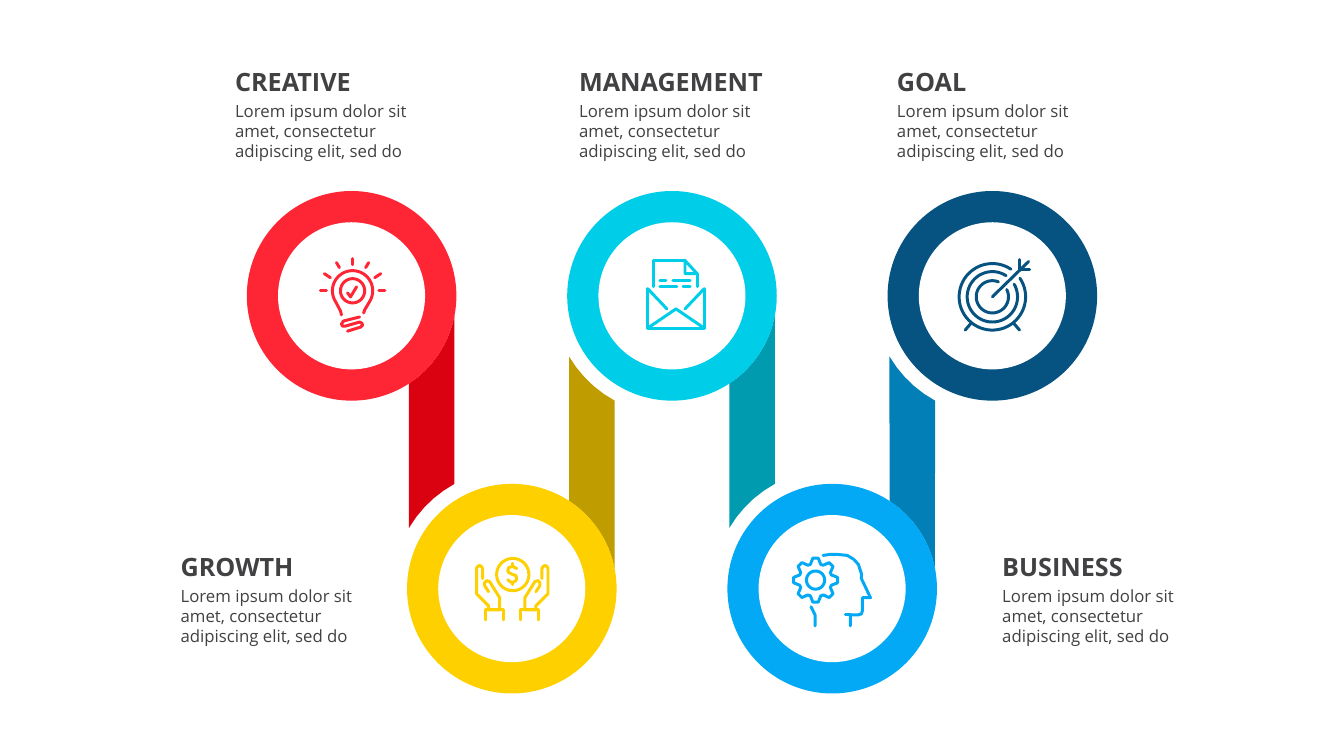
import math
import pptx
import pptx.util
import pptx.dml.color
import pptx.enum.shapes
import pptx.enum.text
import pptx.oxml.ns
import lxml.etree

RGB = pptx.dml.color.RGBColor
WHITE = RGB(0xFF, 0xFF, 0xFF)
INK = RGB(0x41, 0x40, 0x42)
FONT = "Open Sans"
UNIT = 9144
WIDE, HIGH = 1334, 750
BODY = "Lorem ipsum dolor sit amet, consectetur adipiscing elit, sed do"


def arc(x, y, size, start=0, end=360):
    count = max(4, round(abs(end - start) / 6))
    turns = [math.radians(start + (end - start) * k / count) for k in range(count + 1)]
    return [(x + size * math.cos(t), y + size * math.sin(t)) for t in turns]


def mirror(lines, axis):
    return [[(2 * axis - x, y) for x, y in line] for line in lines]


RAYS = [[(-12, -28), (-15, -33)], [(-27, -22), (-21, -18)], [(-31, -5), (-25, -5)]]
BULB = [
    [(-10, 19), (-11, 15)] + arc(1, -5, 20, 147, 393) + [(13, 14), (12, 17)],
    arc(1, -5, 12),
    [(-4, -3), (-1, 1), (5, -9)],
    [(1, -31), (1, -37)],
    [(8, 21), (-8, 25), (-10, 28), (-9, 30), (-6, 30), (8, 26), (10, 27),
     (11, 29), (9, 31), (-4, 35)],
] + RAYS + mirror(RAYS, 1)

HAND = [
    [(-23, 3), (-27, -3), (-27, -6), (-25, -8), (-22, -7), (-12, 9), (-12, 21),
     (-23, 21), (-23, 17), (-35, 5), (-35, -20), (-34, -22), (-32, -23),
     (-30, -22), (-29, -20), (-29, -10)],
    [(-8, 31), (-8, 21), (-26, 21), (-26, 31)],
]
COIN = HAND + mirror(HAND, 0.5) + [
    arc(1, -14, 16),
    [(-4, -9), (-2, -7), (1, -6), (4, -8), (5, -10), (4, -13), (1, -14),
     (-3, -16), (-4, -18), (-3, -21), (1, -22), (5, -20)],
    [(1, -22), (1, -25)],
    [(1, -4), (1, -6)],
]

LETTER = [
    [(32, -7), (32, 32), (-24, 32), (-24, -7)],
    [(32, 32), (4, 13), (-24, 32)],
    [(32, -7), (13, 13)],
    [(-24, -7), (-5, 13)],
    [(25, -9), (25, -22)],
    [(13, -35), (-18, -35), (-18, -9)],
    [(25, -22), (13, -35), (13, -22), (25, -22)],
    [(-6, -15), (-12, -15)],
    [(18, -15), (1, -15)],
    [(-12, -9), (5, -9)],
    [(18, -9), (11, -9)],
]

TOOTH = [(-18, 16.5), (-7, 22), (7, 22), (18, 16.5)]
GEAR = [(-16.5 + size * math.cos(math.radians(45 * k + turn)),
         -8.5 + size * math.sin(math.radians(45 * k + turn)))
        for k in range(8) for turn, size in TOOTH]
HEAD = [
    [(-9, -33), (-2, -34), (5, -34), (15, -33), (21.5, -29), (26, -24), (29, -15),
     (29, -10), (38, 9), (30, 9), (30, 22), (29, 25), (26, 26), (18, 26), (18, 37)],
    [(18, 26), (13, 26)],
    [(-17, 37), (-17, 26), (-21, 18)],
    GEAR + GEAR[:1],
    arc(-16.5, -8.5, 9),
]

TARGET = [
    arc(0, 1, 33, -34, 304),
    arc(0, 1, 25, -30, 303),
    arc(0, 1, 16, -27, 292),
    [(0, 1), (36, -34)],
    [(27, -36), (27, -26), (37, -26)],
    [(-27, 34), (-21, 27)],
    [(21, 27), (27, 34)],
]

STEPS = [
    ("CREATIVE", 223.5, RGB(0xFE, 0x26, 0x35), RGB(0xDA, 0x01, 0x10), BULB),
    ("GROWTH", 169.5, RGB(0xFF, 0xD0, 0x00), RGB(0xBF, 0x9C, 0x00), COIN),
    ("MANAGEMENT", 565, RGB(0x00, 0xCE, 0xE8), RGB(0x00, 0x9B, 0xAE), LETTER),
    ("BUSINESS", 985, RGB(0x03, 0xA9, 0xF4), RGB(0x02, 0x7F, 0xB7), HEAD),
    ("GOAL", 880.5, RGB(0x06, 0x53, 0x81), None, TARGET),
]
LEFT, STRIDE = 349, 159
ROWS = (293.5, 584)
HEADS = (61, 542)
RING, HOLE, GAP = 104, 73, 118.5

deck = pptx.Presentation()
deck.slide_width, deck.slide_height = WIDE * UNIT, HIGH * UNIT
slide = deck.slides.add_slide(deck.slide_layouts[6])


def scale(*sizes):
    return [round(size * UNIT) for size in sizes]


def disc(x, y, size, tint):
    shape = slide.shapes.add_shape(
        pptx.enum.shapes.MSO_SHAPE.OVAL, *scale(x - size, y - size, 2 * size, 2 * size))
    shape.shadow.inherit = False
    shape.fill.solid()
    shape.fill.fore_color.rgb = tint
    shape.line.fill.background()


def draw(x, y, lines, close=False):
    pen = slide.shapes.build_freeform(*scale(*lines[0][0]))
    for index, line in enumerate(lines):
        if index:
            pen.move_to(*scale(*line[0]))
        pen.add_line_segments([scale(*point) for point in line[1:]], close=close)
    shape = pen.convert_to_shape(*scale(x, y))
    shape.shadow.inherit = False
    return shape


def band(x, y, low, tint):
    near = arc(0, 0, RING, 11, 56.8)
    far = arc(STRIDE, ROWS[1] - ROWS[0], GAP, 210.5, 241.3)
    shape = draw(x, y, [[(a, -b if low else b) for a, b in near + far]], True)
    shape.fill.solid()
    shape.fill.fore_color.rgb = tint
    shape.line.fill.background()


def icon(x, y, lines, tint):
    shape = draw(x, y, lines)
    shape.fill.background()
    shape.line.color.rgb = tint
    shape.line.width = pptx.util.Pt(2.13)
    stroke = shape.element.spPr.find(pptx.oxml.ns.qn("a:ln"))
    stroke.set("cap", "rnd")
    lxml.etree.SubElement(stroke, pptx.oxml.ns.qn("a:round"))


def label(x, y, wide, high, words, size, bold):
    frame = slide.shapes.add_textbox(*scale(x, y, wide, high)).text_frame
    frame.word_wrap = True
    frame.auto_size = pptx.enum.text.MSO_AUTO_SIZE.SHAPE_TO_FIT_TEXT
    run = frame.paragraphs[0].add_run()
    run.text = words
    run.font.name = FONT
    run.font.size = pptx.util.Pt(size)
    run.font.bold = bold
    run.font.color.rgb = INK


for index, (name, left, tint, shade, lines) in enumerate(STEPS):
    low = index % 2
    x, y = LEFT + index * STRIDE, ROWS[low]
    if shade:
        band(x, y, low, shade)
    disc(x, y, RING, tint)
    disc(x, y, HOLE, WHITE)
    icon(x, y, lines, tint)
    label(left, HEADS[low], 210, 40, name, 18, True)
    label(left, HEADS[low] + 34, 200, 90, BODY, 12, False)

deck.save("out.pptx")
